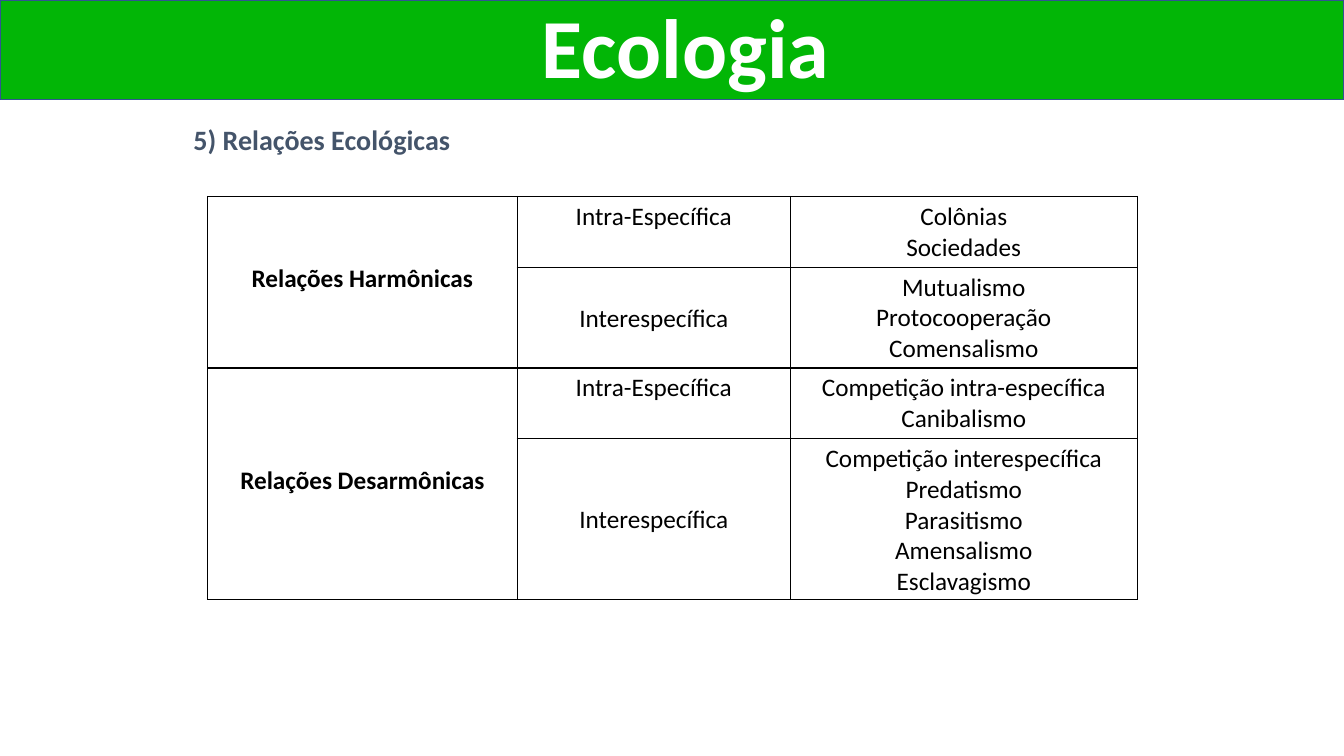
from lxml import etree
from pptx import Presentation
from pptx.dml.color import RGBColor
from pptx.enum.shapes import MSO_SHAPE
from pptx.enum.text import MSO_ANCHOR, PP_ALIGN
from pptx.oxml.ns import qn
from pptx.util import Inches, Pt

RECTANGLE = MSO_SHAPE.RECTANGLE
TOP, MIDDLE, BOTTOM = MSO_ANCHOR.TOP, MSO_ANCHOR.MIDDLE, MSO_ANCHOR.BOTTOM
LEFT, CENTER = PP_ALIGN.LEFT, PP_ALIGN.CENTER

FONT = "Calibri"
TITLE_ONLY = 5
COLORS = {
    "band": "02B606",
    "band_line": "325491",
    "title": "FFFFFF",
    "heading": "44546A",
    "text": "000000",
    "border": "000000",
}

COLUMN_WIDTHS = [3.07, 2.71, 3.44]
ROW_HEIGHTS = [0.7, 1.0, 0.7, 1.6]
CATEGORIES = ["Relações Harmônicas", "Relações Desarmônicas"]
SCOPES = ["Intra-Específica", "Interespecífica"]
RELATIONS = [
    "Colônias\nSociedades",
    "Mutualismo\nProtocooperação\nComensalismo",
    "Competição intra-específica\nCanibalismo",
    "Competição interespecífica\nPredatismo\nParasitismo\nAmensalismo\nEsclavagismo",
]


def color(name):
    return RGBColor.from_string(COLORS[name])


def write(frame, text, size=18, bold=False, ink="text", align=CENTER, spacing=None):
    """Fill a text frame, one paragraph per line of text."""
    frame.word_wrap = True
    frame.text = text
    for paragraph in frame.paragraphs:
        paragraph.alignment = align
        if spacing:
            paragraph.line_spacing = spacing
        for run in paragraph.runs:
            run.font.name = FONT
            run.font.size = Pt(size)
            run.font.bold = bold
            run.font.color.rgb = color(ink)


def place(shape, left, top, width, height):
    shape.left, shape.top = Inches(left), Inches(top)
    shape.width, shape.height = Inches(width), Inches(height)


def add_border(cell):
    properties = cell._tc.get_or_add_tcPr()
    for position, side in enumerate(("lnL", "lnR", "lnT", "lnB")):
        line = etree.Element(qn(f"a:{side}"), w=str(Pt(1)))
        fill = etree.SubElement(line, qn("a:solidFill"))
        etree.SubElement(fill, qn("a:srgbClr"), val=COLORS["border"])
        properties.insert(position, line)


def add_title(slide, text):
    # The band goes behind the title placeholder
    band = slide.shapes.add_shape(
        RECTANGLE, Inches(0), Inches(0), Inches(13.33), Inches(0.99))
    band.shadow.inherit = False
    band.fill.solid()
    band.fill.fore_color.rgb = color("band")
    band.line.color.rgb = color("band_line")
    band.line.width = Pt(1)

    title = slide.shapes.title
    title._element.addprevious(band._element)
    place(title, 0.63, 0.02, 12.34, 0.97)
    title.text_frame.vertical_anchor = BOTTOM
    write(title.text_frame, text, size=60, bold=True, ink="title", spacing=0.8)


def add_heading(slide, text):
    heading = slide.shapes.add_textbox(
        Inches(1.82), Inches(1.17), Inches(9.61), Inches(0.45))
    write(heading.text_frame, text, size=20, bold=True, ink="heading", align=LEFT)


def fill_cell(cell, text, anchor=MIDDLE, bottom=0.03, bold=False):
    cell.vertical_anchor = anchor
    cell.margin_top, cell.margin_bottom = Inches(0.05), Inches(bottom)
    write(cell.text_frame, text, bold=bold)


def add_relations_table(slide):
    table = slide.shapes.add_table(
        len(ROW_HEIGHTS), len(COLUMN_WIDTHS), Inches(2.06), Inches(1.95),
        Inches(sum(COLUMN_WIDTHS)), Inches(sum(ROW_HEIGHTS))).table
    table.first_row = table.horz_banding = False
    for column, width in zip(table.columns, COLUMN_WIDTHS):
        column.width = Inches(width)
    for row, height in zip(table.rows, ROW_HEIGHTS):
        row.height = Inches(height)
    for cell in table.iter_cells():
        cell.fill.background()
        add_border(cell)

    # Each category spans its two scopes
    for index, category in enumerate(CATEGORIES):
        first = index * len(SCOPES)
        table.cell(first, 0).merge(table.cell(first + 1, 0))
        fill_cell(table.cell(first, 0), category, bottom=0.11, bold=True)
        for offset, (scope, anchor) in enumerate(zip(SCOPES, (TOP, MIDDLE))):
            fill_cell(table.cell(first + offset, 1), scope, anchor)
    for row, relations in enumerate(RELATIONS):
        fill_cell(table.cell(row, 2), relations, TOP)


def main():
    deck = Presentation()
    deck.slide_width, deck.slide_height = Inches(13.33), Inches(7.5)
    slide = deck.slides.add_slide(deck.slide_layouts[TITLE_ONLY])
    add_title(slide, "Ecologia")
    add_heading(slide, "5) Relações Ecológicas")
    add_relations_table(slide)
    deck.save("out.pptx")


if __name__ == "__main__":
    main()
